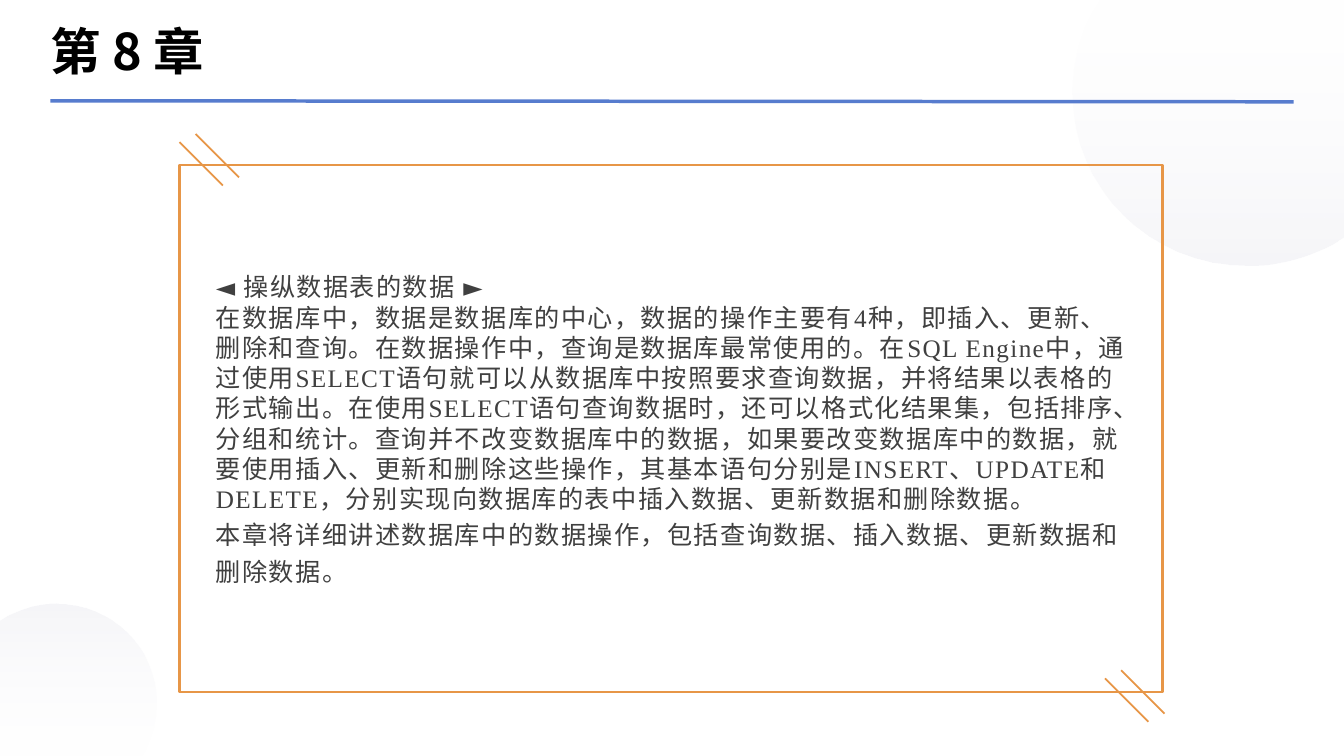
import lxml.etree
import pptx
import pptx.dml.color
import pptx.enum.shapes
import pptx.enum.text
import pptx.oxml.ns
import pptx.util

Inches, Pt = pptx.util.Inches, pptx.util.Pt
qn = pptx.oxml.ns.qn

# Content: text, line spacing in points
TITLE = "第 8 章"
BODY = [
    ("◄ 操纵数据表的数据 ►", 21.6),
    ("在数据库中，数据是数据库的中心，数据的操作主要有4种，即插入、更新、删除和查询。"
     "在数据操作中，查询是数据库最常使用的。在SQL Engine中，通过使用SELECT语句就可以"
     "从数据库中按照要求查询数据，并将结果以表格的形式输出。在使用SELECT语句查询数据时，"
     "还可以格式化结果集，包括排序、分组和统计。查询并不改变数据库中的数据，"
     "如果要改变数据库中的数据，就要使用插入、更新和删除这些操作，其基本语句分别是"
     "INSERT、UPDATE和DELETE，分别实现向数据库的表中插入数据、更新数据和删除数据。", 21.6),
    ("本章将详细讲述数据库中的数据操作，包括查询数据、插入数据、更新数据和删除数据。", 25.9),
]

# Layout in inches
WIDTH, HEIGHT = 13.33, 7.5
# Cut discs: gradient angle, then segments of one point (line) or three (curve)
DISCS = [
    (270, [[(10.92, 0)], [(WIDTH, 0)], [(WIDTH, 2.34)], [(13.2, 2.42)],
           [(12.95, 2.55), (12.67, 2.63), (12.37, 2.63)],
           [(11.41, 2.63), (10.64, 1.87), (10.64, 0.92)],
           [(10.64, 0.63), (10.71, 0.35), (10.85, 0.11)]]),
    (90, [[(1.39, HEIGHT)], [(0, HEIGHT)], [(0, 6.16)], [(0.08, 6.11)],
          [(0.22, 6.04), (0.38, 5.99), (0.55, 5.99)],
          [(1.1, 5.99), (1.55, 6.43), (1.55, 6.97)],
          [(1.55, 7.14), (1.5, 7.3), (1.43, 7.44)]]),
]
FRAME = (1.78, 1.64, 9.75, 5.23)
TICK_PAIRS = [(1.78, 1.41), (10.96, 6.73)]
TICK_LENGTH = 0.43
TICK_OFFSET = (0.16, -0.08)

THEME = {
    "rule": "577CCE", "frame": "E79647", "title": "000000", "body": "404040",
    "disc": [("FFFFFF", 10), ("D8D8E4", 24)],
    "title_font": "Noto Sans CJK SC", "body_font": "Times New Roman",
    "title_size": 36, "body_size": 18,
}


def color(name):
    return pptx.dml.color.RGBColor.from_string(name)


def add_line(x1, y1, x2, y2, line_color, weight):
    line = slide.shapes.add_connector(
        pptx.enum.shapes.MSO_CONNECTOR.STRAIGHT,
        Inches(x1), Inches(y1), Inches(x2), Inches(y2))
    line.line.color.rgb = color(line_color)
    line.line.width = Pt(weight)
    lxml.etree.SubElement(line._element.spPr, qn("a:effectLst"))


def add_disc(angle, segments):
    """A disc cut off at the slide edges, with curved segments."""
    ends = [(Inches(seg[-1][0]), Inches(seg[-1][1])) for seg in segments]
    builder = slide.shapes.build_freeform(*ends[0])
    builder.add_line_segments(ends[1:], close=True)
    sp = builder.convert_to_shape()
    for step, seg in zip(list(sp._element.spPr.iter(qn("a:lnTo"))), segments[1:]):
        if len(seg) == 3:
            step.tag = qn("a:cubicBezTo")
            for i, (x, y) in enumerate(seg[:2]):
                pt = lxml.etree.Element(qn("a:pt"))
                pt.set("x", str(Inches(x) - sp.left))
                pt.set("y", str(Inches(y) - sp.top))
                step.insert(i, pt)
    sp.shadow.inherit = False
    sp.line.fill.background()
    sp.fill.gradient()
    sp.fill.gradient_angle = angle
    for stop, (rgb, _) in zip(sp.fill.gradient_stops, THEME["disc"]):
        stop.color.rgb = color(rgb)
    for clr, (_, opacity) in zip(sp._element.spPr.iter(qn("a:srgbClr")), THEME["disc"]):
        lxml.etree.SubElement(clr, qn("a:alpha")).set("val", str(opacity * 1000))


def place(sp, box, insets):
    """Position a placeholder, bring it forward and return its text frame."""
    sp.left, sp.top, sp.width, sp.height = map(Inches, box)
    slide.shapes._spTree.append(sp._element)
    tf = sp.text_frame
    tf.word_wrap = True
    tf.auto_size = pptx.enum.text.MSO_AUTO_SIZE.NONE
    tf.vertical_anchor = pptx.enum.text.MSO_ANCHOR.MIDDLE
    tf.margin_left = tf.margin_right = Inches(insets[0])
    tf.margin_top = tf.margin_bottom = Inches(insets[1])
    return tf


def add_run(p, text, role, spacing, bold):
    r = p.add_run()
    r.text = text
    r.font.size = Pt(THEME[role + "_size"])
    r.font.bold = bold
    r.font.color.rgb = color(THEME[role])
    r.font.name = THEME[role + "_font"]
    rpr = r._r.get_or_add_rPr()
    rpr.set("spc", str(spacing))
    east_asian = lxml.etree.SubElement(rpr, qn("a:ea"))
    east_asian.set("typeface", THEME["title_font"])


prs = pptx.Presentation()
prs.slide_width, prs.slide_height = Inches(WIDTH), Inches(HEIGHT)
slide = prs.slides.add_slide(prs.slide_layouts[1])

# Background discs and heading rule
for disc in DISCS:
    add_disc(*disc)
add_line(0.5, 1, 12.83, 1.01, THEME["rule"], 2.5)

# Title
tf = place(slide.shapes.title, (0.5, 0.16, 12.33, 0.67), (0, 0))
p = tf.paragraphs[0]
p.alignment = pptx.enum.text.PP_ALIGN.LEFT
add_run(p, TITLE, "title", 0, True)

# Frame with a pair of slanted ticks at two corners
frame = slide.shapes.add_shape(
    pptx.enum.shapes.MSO_SHAPE.RECTANGLE, *map(Inches, FRAME))
frame.shadow.inherit = False
frame.fill.background()
frame.line.color.rgb = color(THEME["frame"])
frame.line.width = Pt(1.5)
for x, y in TICK_PAIRS:
    for step in (1, 0):
        x1, y1 = x + step * TICK_OFFSET[0], y + step * TICK_OFFSET[1]
        add_line(x1, y1, x1 + TICK_LENGTH, y1 + TICK_LENGTH, THEME["frame"], 1.25)

# Body text
tf = place(slide.placeholders[1], (2.07, 1.9, 9.17, 4.71), (0.07, 0.03))
for i, (text, leading) in enumerate(BODY):
    p = tf.paragraphs[0] if i == 0 else tf.add_paragraph()
    ppr = p._p.get_or_add_pPr()
    ppr.set("marL", "0")
    ppr.set("indent", "0")
    lxml.etree.SubElement(ppr, qn("a:buNone"))
    p.alignment = pptx.enum.text.PP_ALIGN.LEFT
    p.line_spacing = Pt(leading)
    p.space_before = p.space_after = Pt(0)
    add_run(p, text, "body", 100, False)

prs.save("out.pptx")
